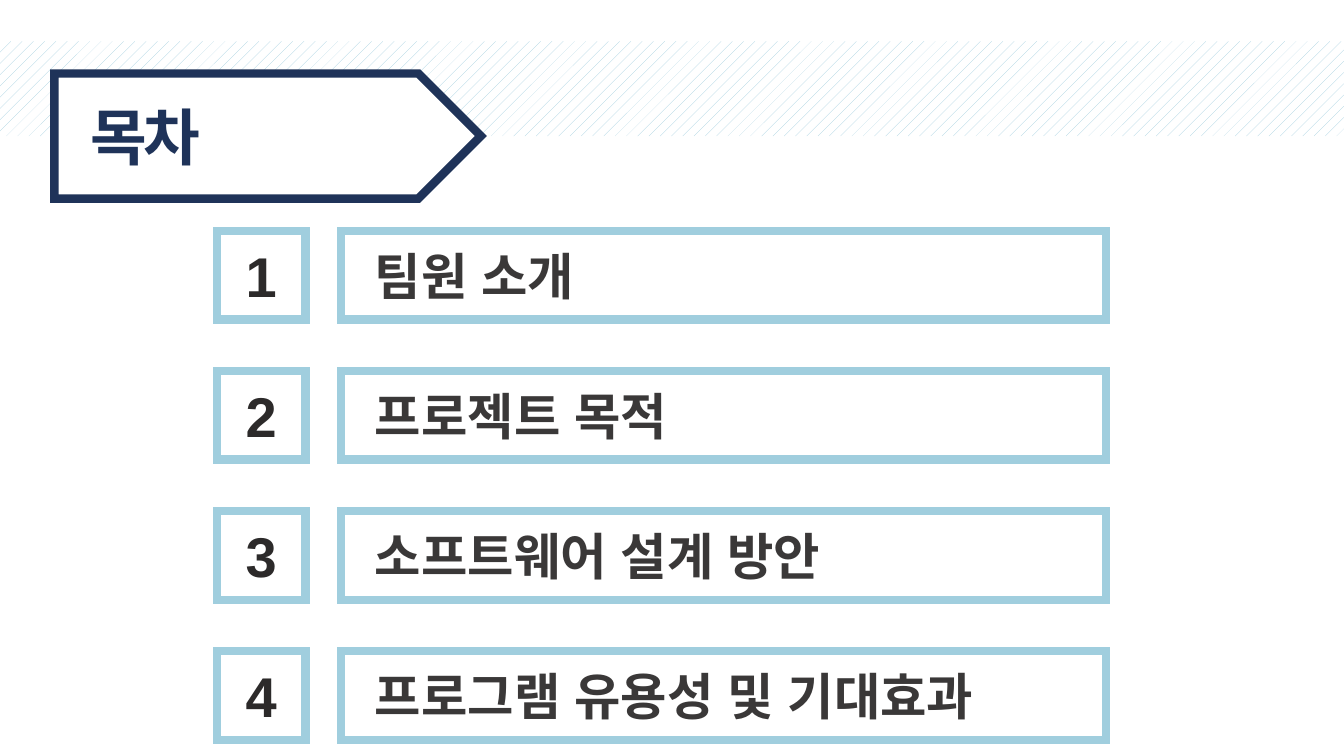
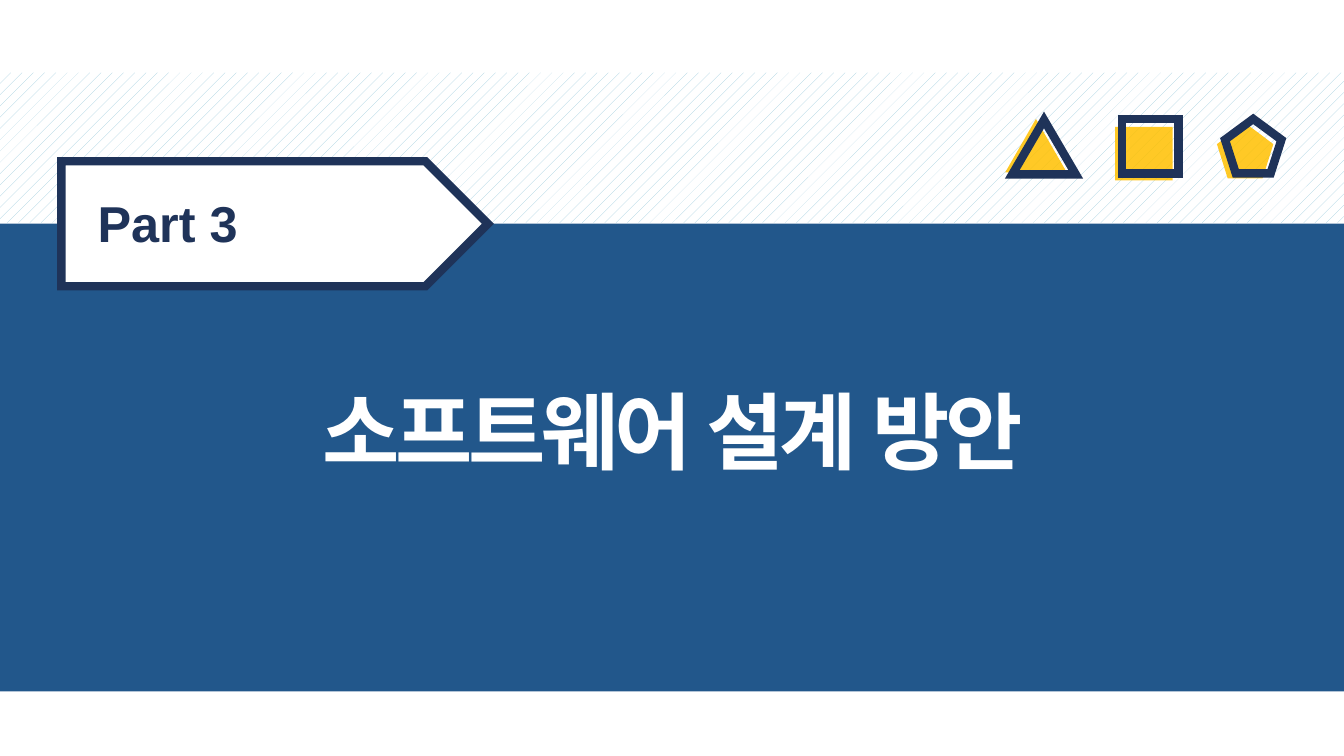
from lxml.etree import SubElement
from pptx import Presentation
from pptx.dml.color import RGBColor
from pptx.enum.dml import MSO_PATTERN as Pattern
from pptx.enum.shapes import MSO_SHAPE as Shape
from pptx.enum.text import MSO_ANCHOR as Anchor, MSO_AUTO_SIZE as AutoSize, PP_ALIGN as Align
from pptx.oxml.ns import qn
from pptx.util import Inches, Pt

COLORS = {
    "navy": "1F3359", "blue": "22578B", "sky": "A0CEDE", "yellow": "FFC000",
    "white": "FFFFFF", "number": "2C2A2A", "text": "3A3838",
}
FONT = "Arial"
SLIDE_WIDTH, SLIDE_HEIGHT = 13.33, 7.5
OUTLINE = 6
TITLE_ONLY = 5


def color(name):
    return RGBColor.from_string(COLORS[name])


def add_box(slide, kind, box, fill=None, line=None, opacity=100):
    shape = slide.shapes.add_shape(kind, *map(Inches, box))
    shape.shadow.inherit = False
    if fill:
        shape.fill.solid()
        shape.fill.fore_color.rgb = color(fill)
        if opacity < 100:
            fill_color = shape.fill._xPr.find(qn("a:solidFill"))[0]
            SubElement(fill_color, qn("a:alpha"), val=str(opacity * 1000))
    else:
        shape.fill.background()
    if line:
        shape.line.color.rgb = color(line)
        shape.line.width = Pt(OUTLINE)
        SubElement(shape.line._get_or_add_ln(), qn("a:miter"), lim="800000")
    else:
        shape.line.fill.background()
    return shape


def write(shape, text, size, ink, align=Align.LEFT, spacing=0):
    shape.text_frame.text = text
    paragraph = shape.text_frame.paragraphs[0]
    paragraph.alignment = align
    run = paragraph.runs[0]
    run.font.name = FONT
    run.font.size = Pt(size)
    run.font.bold = True
    run.font.color.rgb = color(ink)
    properties = run.font._element
    SubElement(properties, qn("a:ea"), typeface=FONT)
    if spacing:
        properties.set("spc", str(spacing * 100))


def fit_text(shape):
    frame = shape.text_frame
    frame.word_wrap = False
    frame.auto_size = AutoSize.SHAPE_TO_FIT_TEXT
    frame.vertical_anchor = Anchor.TOP


def add_label(slide, box, text, size, ink):
    label = slide.shapes.add_textbox(*map(Inches, box))
    fit_text(label)
    write(label, text, size, ink)


def place_title(slide, box, text, size, ink, align=Align.LEFT):
    title = slide.shapes.title
    title.left, title.top, title.width, title.height = map(Inches, box)
    fit_text(title)
    write(title, text, size, ink, align, spacing=-3)
    title.element.getparent().append(title.element)


def add_hatched_band(slide, top, height):
    band = add_box(slide, Shape.RECTANGLE, (0, top, SLIDE_WIDTH, height))
    band.fill.patterned()
    band.fill.pattern = Pattern.PERCENT_10
    band.fill.fore_color.rgb = color("sky")
    band.fill.back_color.rgb = color("white")


def add_name_plate(slide, left, top):
    add_box(slide, Shape.PENTAGON, (left, top, 4.23, 1.24), "white", "navy")


def add_contents_row(slide, left, top, number, text):
    height = 0.88
    square = add_box(slide, Shape.RECTANGLE, (left, top, height, height), "white", "sky")
    square.text_frame.vertical_anchor = Anchor.MIDDLE
    write(square, str(number), 40, "number", Align.CENTER)
    bar_left = left + 1.23
    add_box(slide, Shape.RECTANGLE, (bar_left, top, 7.59, height), "white", "sky")
    add_label(slide, (bar_left + 0.24, top + 0.09, 7, 0.71), text, 36, "text")


def add_emblems(slide, left, top):
    emblems = [
        (Shape.ISOSCELES_TRIANGLE, (0, 0, 0.61, 0.53), (0.07, 0.01, 0.63, 0.54)),
        (Shape.RECTANGLE, (1.09, 0.08, 0.57, 0.53), (1.16, 0, 0.56, 0.54)),
        (Shape.REGULAR_PENTAGON, (2.1, 0.04, 0.56, 0.55), (2.18, 0, 0.56, 0.54)),
    ]
    for kind, filled, outlined in emblems:
        for (x, y, width, height), style in (
            (filled, {"fill": "yellow", "opacity": 85}),
            (outlined, {"line": "navy"}),
        ):
            add_box(slide, kind, (left + x, top + y, width, height), **style)


def new_slide(presentation):
    return presentation.slides.add_slide(presentation.slide_layouts[TITLE_ONLY])


def build_contents(presentation, title, topics):
    slide = new_slide(presentation)
    add_hatched_band(slide, 0.41, 0.94)
    left, top = 0.54, 0.73
    add_name_plate(slide, left, top)
    place_title(slide, (left + 0.26, top + 0.2, 1.35, 0.84), title, 44, "navy")
    for index, topic in enumerate(topics):
        add_contents_row(slide, 2.15, 2.29 + 1.39 * index, index + 1, topic)


def build_section(presentation, part, title):
    slide = new_slide(presentation)
    add_box(slide, Shape.RECTANGLE, (0, 2.22, SLIDE_WIDTH, 4.64), "blue")
    add_hatched_band(slide, 0.72, 1.49)
    left, top = 0.61, 1.6
    add_name_plate(slide, left, top)
    add_label(slide, (left + 0.26, top + 0.26, 1.6, 0.71), part, 36, "navy")
    add_emblems(slide, 9.97, 1.18)
    place_title(slide, (2.78, 3.71, 7.78, 1.11), title, 60, "white", Align.CENTER)


TOPICS = ["팀원 소개", "프로젝트 목적", "소프트웨어 설계 방안", "프로그램 유용성 및 기대효과"]

presentation = Presentation()
presentation.slide_width = Inches(SLIDE_WIDTH)
presentation.slide_height = Inches(SLIDE_HEIGHT)
build_contents(presentation, "목차", TOPICS)
build_section(presentation, "Part 3", TOPICS[2])
presentation.save("out.pptx")
